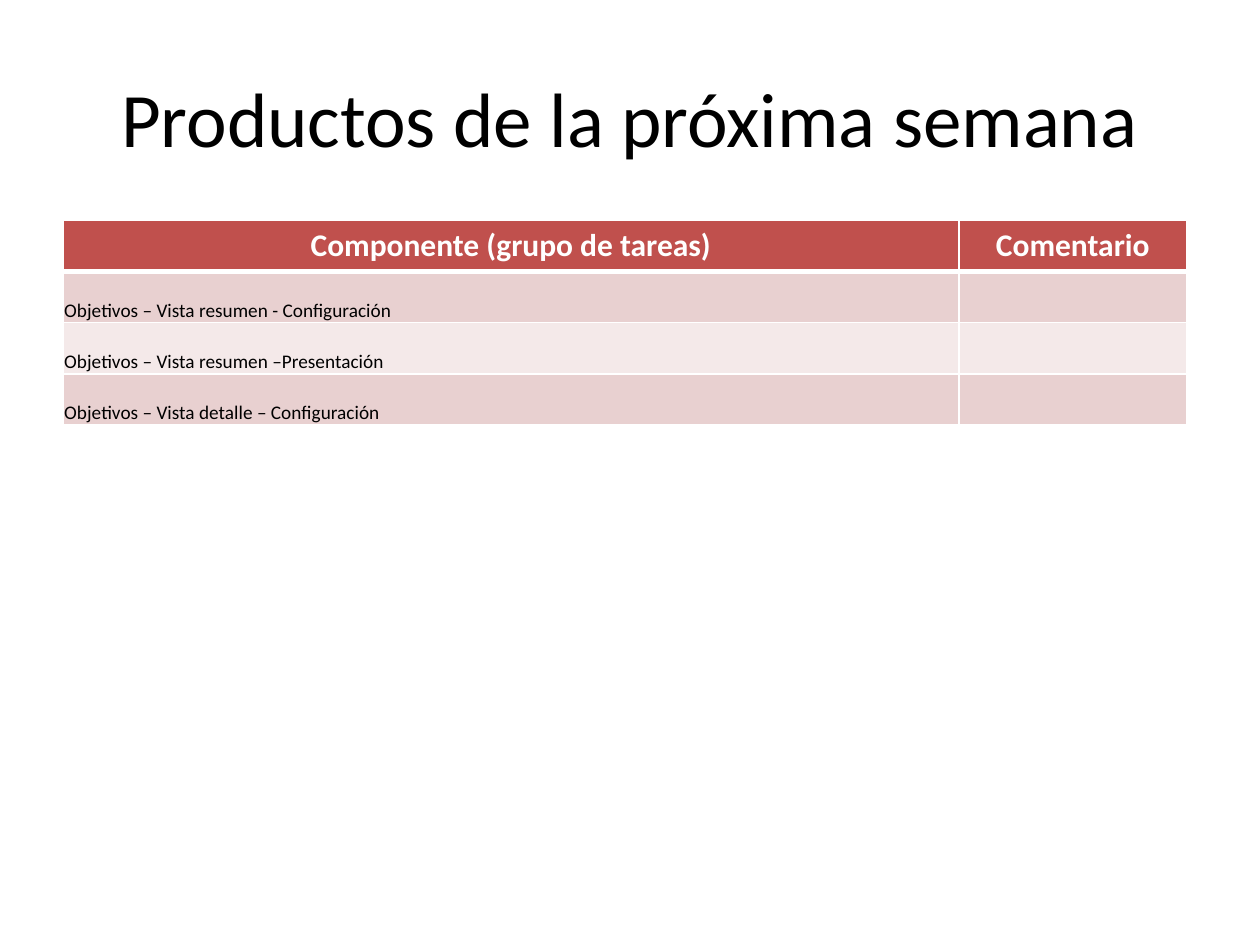
import dataclasses

import pptx
import pptx.dml.color
import pptx.enum.text
import pptx.oxml
import pptx.oxml.ns
import pptx.util

Inches = pptx.util.Inches
Align = pptx.enum.text.PP_ALIGN
Anchor = pptx.enum.text.MSO_ANCHOR

FONT = "Calibri"
WHITE, BLACK = "FFFFFF", "000000"
HEADER_FILL = "C0504D"
BAND_FILLS = ("E8D0D0", "F4E9E9")
COLUMN_WIDTHS = (7.11, 1.81)
ROW_HEIGHT = 0.4


@dataclasses.dataclass
class Task:
    component: str
    comment: str = ""


TASKS = [
    Task("Objetivos – Vista resumen - Configuración"),
    Task("Objetivos – Vista resumen –Presentación"),
    Task("Objetivos – Vista detalle – Configuración"),
]


def color(value: str) -> pptx.dml.color.RGBColor:
    return pptx.dml.color.RGBColor.from_string(value)


def write(frame, text: str, *, size: float, fill: str = BLACK,
          bold: bool = False, align=Align.LEFT) -> None:
    paragraph = frame.paragraphs[0]
    paragraph.alignment = align
    run = paragraph.add_run()
    run.text = text
    run.font.name = FONT
    run.font.size = pptx.util.Pt(size)
    run.font.bold = bold
    run.font.color.rgb = color(fill)


def format_cell(cell, fill: str, top: float = 1, bottom: float = 1) -> None:
    """Give a cell white borders, widths in points, and a solid fill."""
    properties = cell._tc.get_or_add_tcPr()
    for side, width in (("L", 1), ("R", 1), ("T", top), ("B", bottom)):
        properties.append(pptx.oxml.parse_xml(
            f'<a:ln{side} {pptx.oxml.ns.nsdecls("a")} w="{pptx.util.Pt(width)}">'
            f'<a:solidFill><a:srgbClr val="{WHITE}"/></a:solidFill></a:ln{side}>'))
    cell.fill.solid()
    cell.fill.fore_color.rgb = color(fill)


def fill_header(table, labels: tuple[str, ...]) -> None:
    for column, label in enumerate(labels):
        cell = table.cell(0, column)
        format_cell(cell, HEADER_FILL, bottom=3)
        write(cell.text_frame, label, size=18, fill=WHITE, bold=True,
              align=Align.CENTER)


def fill_task(table, row: int, task: Task) -> None:
    for column, text in enumerate((task.component, task.comment)):
        cell = table.cell(row, column)
        format_cell(cell, BAND_FILLS[(row - 1) % 2], top=3 if row == 1 else 1)
        if text:
            cell.vertical_anchor = Anchor.BOTTOM
            cell.margin_left = cell.margin_right = cell.margin_top = Inches(0.01)
            cell.margin_bottom = 0
            write(cell.text_frame, text, size=11)


presentation = pptx.Presentation()
presentation.slide_width, presentation.slide_height = Inches(10), Inches(7.5)
slide = presentation.slides.add_slide(presentation.slide_layouts[5])

# Title
title = slide.shapes.title
title.left, title.top = Inches(0.5), Inches(0.3)
title.width, title.height = Inches(9), Inches(1.25)
title.text_frame.vertical_anchor = Anchor.MIDDLE
write(title.text_frame, "Productos de la próxima semana", size=44,
      align=Align.CENTER)

# Task table
row_count = len(TASKS) + 1
table = slide.shapes.add_table(
    row_count, len(COLUMN_WIDTHS), Inches(0.5), Inches(1.75),
    Inches(sum(COLUMN_WIDTHS)), Inches(ROW_HEIGHT * row_count)).table
for column, width in zip(table.columns, COLUMN_WIDTHS):
    column.width = Inches(width)
fill_header(table, ("Componente (grupo de tareas)", "Comentario"))
for row, task in enumerate(TASKS, start=1):
    fill_task(table, row, task)

presentation.save("out.pptx")
